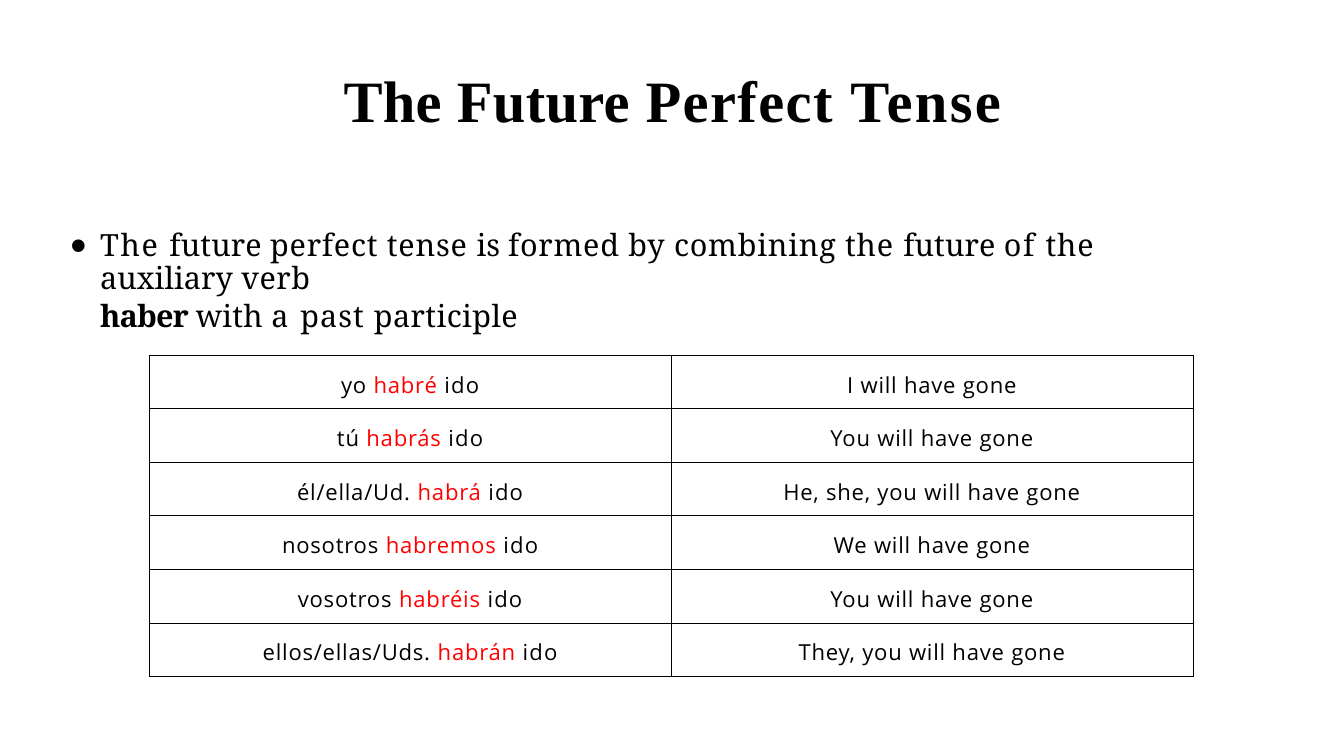
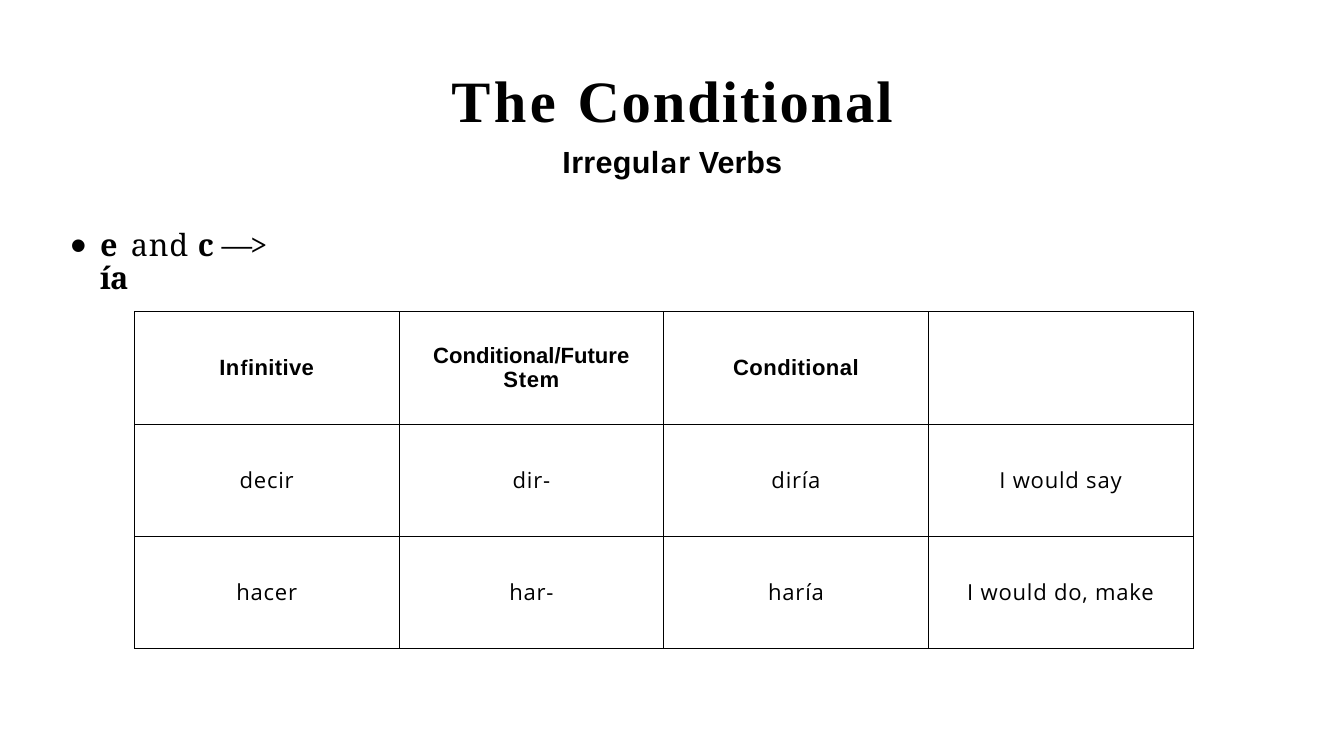
"""Build two Spanish grammar slides: the future perfect and the conditional."""
from dataclasses import dataclass

from lxml import etree
from pptx import Presentation
from pptx.dml.color import RGBColor
from pptx.enum.text import MSO_ANCHOR, MSO_AUTO_SIZE, PP_ALIGN
from pptx.oxml.ns import qn
from pptx.util import Inches, Pt

BLACK = RGBColor(0x00, 0x00, 0x00)
RED = RGBColor(0xFF, 0x00, 0x00)

CENTER, LEFT = PP_ALIGN.CENTER, PP_ALIGN.LEFT
TOP, MIDDLE = MSO_ANCHOR.TOP, MSO_ANCHOR.MIDDLE
NO_AUTOFIT = MSO_AUTO_SIZE.NONE

TITLE_FONT, SUBTITLE_FONT, ACCENT_FONT = "Times New Roman", "Arial", "Karla"
BODY_FONT, CELL_FONT = "Noto Serif", "Open Sans"
TITLE_SIZE, BODY_SIZE, CELL_SIZE = 69, 36, 26

SLIDE_WIDTH, SLIDE_HEIGHT = 21.99, 12.37
TITLE_AND_CONTENT = 1
BODY_INDENT, BODY_HANGING = 0.51, 0.49
BODY_TABS = (0.51, 1.01)
BULLET_PERCENT = 151
BORDER_SIDES = ("a:lnL", "a:lnR", "a:lnT", "a:lnB")


@dataclass
class Span:
    """A stretch of text with its letter spacing in points and its look."""

    text: str
    spacing: float = 0.9
    bold: bool = False
    color: RGBColor = BLACK
    font: str = ""


FUTURE_PERFECT = (
    ("yo ", "habré ", "I will have gone"),
    ("tú ", "habrás ", "You will have gone"),
    ("él/ella/Ud. ", "habrá ", "He, she, you will have gone"),
    ("nosotros ", "habremos ", "We will have gone"),
    ("vosotros ", "habréis ", "You will have gone"),
    ("ellos/ellas/Uds. ", "habrán ", "They, you will have gone"),
)

CONDITIONAL_HEADINGS = (
    [Span("In", 0.4, True), Span("f", 0.4, True, font=ACCENT_FONT),
     Span("initive", 0.4, True)],
    [Span("Conditional/Future ", 0, True), Span("Stem", 0.8, True)],
    [Span("Conditional", 0.5, True)],
    [],
)

CONDITIONAL_VERBS = (
    ("decir", "dir-", "diría", "I would say"),
    ("hacer", "har-", "haría", "I would do, make"),
)


def add_spans(para, spans, font, size):
    """Append each span to the paragraph as its own run."""
    for span in spans:
        run = para.add_run()
        run.text = span.text
        run.font.name = span.font or font
        run.font.size = Pt(size)
        run.font.bold = span.bold
        run.font.color.rgb = span.color
        run.font._element.set("spc", str(round(span.spacing * 100)))


def prepare_frame(shape, left, top, width, height):
    """Place a placeholder and return its text frame without insets."""
    shape.left, shape.top = Inches(left), Inches(top)
    shape.width, shape.height = Inches(width), Inches(height)
    frame = shape.text_frame
    frame.margin_left = frame.margin_right = 0
    frame.margin_top = frame.margin_bottom = 0
    frame.word_wrap = True
    frame.auto_size = NO_AUTOFIT
    frame.vertical_anchor = TOP
    return frame


def add_title(page, spans, subtitle=()):
    """Fill the title placeholder, with an optional second line."""
    frame = prepare_frame(page.shapes.title, 3.2, 1.04, 15.6, 1.82)
    para = frame.paragraphs[0]
    para.alignment = CENTER
    para.space_before = Pt(0)
    add_spans(para, spans, TITLE_FONT, TITLE_SIZE)
    if subtitle:
        para = frame.add_paragraph()
        para.alignment = CENTER
        para.space_before = Pt(10.9)
        add_spans(para, subtitle, SUBTITLE_FONT, BODY_SIZE)


def format_bullet(para, bulleted):
    """Set the hanging indent, bullet and tab stops of a body paragraph."""
    properties = para._p.get_or_add_pPr()
    properties.set("marL", str(Inches(BODY_INDENT)))
    properties.set("indent", str(-Inches(BODY_HANGING) if bulleted else 0))
    if bulleted:
        size = etree.SubElement(properties, qn("a:buSzPct"))
        size.set("val", str(BULLET_PERCENT * 1000))
        etree.SubElement(properties, qn("a:buChar")).set("char", "•")
    else:
        etree.SubElement(properties, qn("a:buNone"))
    tabs = etree.SubElement(properties, qn("a:tabLst"))
    for position in BODY_TABS:
        tab = etree.SubElement(tabs, qn("a:tab"))
        tab.set("pos", str(Inches(position)))
        tab.set("algn", "l")


def add_body(page, width, height, lines):
    """Fill the body placeholder: a bulleted line and its continuations."""
    frame = prepare_frame(page.placeholders[1], 1.13, 3.77, width, height)
    for number, spans in enumerate(lines):
        para = frame.add_paragraph() if number else frame.paragraphs[0]
        para.alignment = LEFT
        para.line_spacing = 0.9
        para.space_before = Pt(5.8 if number else 0)
        format_bullet(para, bulleted=number == 0)
        add_spans(para, spans, BODY_FONT, BODY_SIZE)


def add_borders(cell):
    """Draw a thin black line on all four sides of a cell."""
    properties = cell._tc.get_or_add_tcPr()
    for position, side in enumerate(BORDER_SIDES):
        line = etree.Element(qn(side), w=str(Pt(1)))
        fill = etree.SubElement(line, qn("a:solidFill"))
        etree.SubElement(fill, qn("a:srgbClr")).set("val", str(BLACK))
        properties.insert(position, line)


def fill_cell(cell, spans, font, top_margin, side_margin):
    """Centre the spans in a bordered cell without fill."""
    cell.fill.background()
    add_borders(cell)
    cell.margin_left = cell.margin_right = Inches(side_margin)
    cell.margin_top, cell.margin_bottom = Inches(top_margin), 0
    cell.vertical_anchor = MIDDLE
    para = cell.text_frame.paragraphs[0]
    para.alignment = CENTER
    add_spans(para, spans, font, CELL_SIZE)


def add_grid(page, left, top, width, height, rows, headed=False,
             top_margin=0.0):
    """Add a table with equal rows and columns from rows of span lists."""
    column_count = len(rows[0])
    table = page.shapes.add_table(
        len(rows), column_count, Inches(left), Inches(top),
        Inches(width), Inches(height)).table
    table.first_row = table.horz_banding = False
    for row in table.rows:
        row.height = Inches(height / len(rows))
    for row_number, row in enumerate(rows):
        heading = headed and row_number == 0
        font = SUBTITLE_FONT if heading else CELL_FONT
        for column_number, spans in enumerate(row):
            fill_cell(table.cell(row_number, column_number), spans, font,
                      top_margin, 0.4 if heading else 0)


def add_page(deck):
    """Add a page with a title and a body placeholder."""
    return deck.slides.add_slide(deck.slide_layouts[TITLE_AND_CONTENT])


def add_future_perfect(deck):
    """Build the page on the future perfect tense."""
    page = add_page(deck)
    add_title(page, [Span("The Future ", 0.4, True),
                     Span("Perfect ", 1.7, True), Span("Tense", 2.8, True)])
    add_body(page, 18.61, 2, [
        [Span("The ", 2), Span("future ", 0.2), Span("perfect tense "),
         Span("is ", -0.1), Span("formed by combining the "),
         Span("future ", 0.2), Span("of ", 1.9), Span("the "),
         Span("auxiliary ", 0.1), Span("verb", 0.7)],
        [Span("haber ", -1, True), Span("with ", 0.3), Span("a ", 2.2),
         Span("past ", 1.2), Span("participle", 0.5)],
    ])
    rows = [([Span(subject), Span(verb, color=RED), Span("ido", 1.4)],
             [Span(meaning)])
            for subject, verb, meaning in FUTURE_PERFECT]
    add_grid(page, 2.44, 5.81, 17.08, 5.26, rows, top_margin=0.09)


def add_conditional(deck):
    """Build the page on irregular verbs in the conditional."""
    page = add_page(deck)
    add_title(page, [Span("The ", 4.1, True), Span("Conditional", 2.3, True)],
              [Span("Irregul", 0.4, True),
               Span("a", 0.8, True, font=ACCENT_FONT),
               Span("r Verbs", 0, True)])
    add_body(page, 3.67, 1.3, [
        [Span("e\t", -1.2, True), Span("and ", 1), Span("c ", -0.2, True),
         Span("—> ", -2.1), Span("ía", -1.1, True)],
    ])
    rows = [CONDITIONAL_HEADINGS]
    rows += [[[Span(text)] for text in verb] for verb in CONDITIONAL_VERBS]
    add_grid(page, 2.2, 5.1, 17.32, 5.51, rows, headed=True)


def main():
    """Build and save the deck."""
    deck = Presentation()
    deck.slide_width = Inches(SLIDE_WIDTH)
    deck.slide_height = Inches(SLIDE_HEIGHT)
    add_future_perfect(deck)
    add_conditional(deck)
    deck.save("out.pptx")


main()
